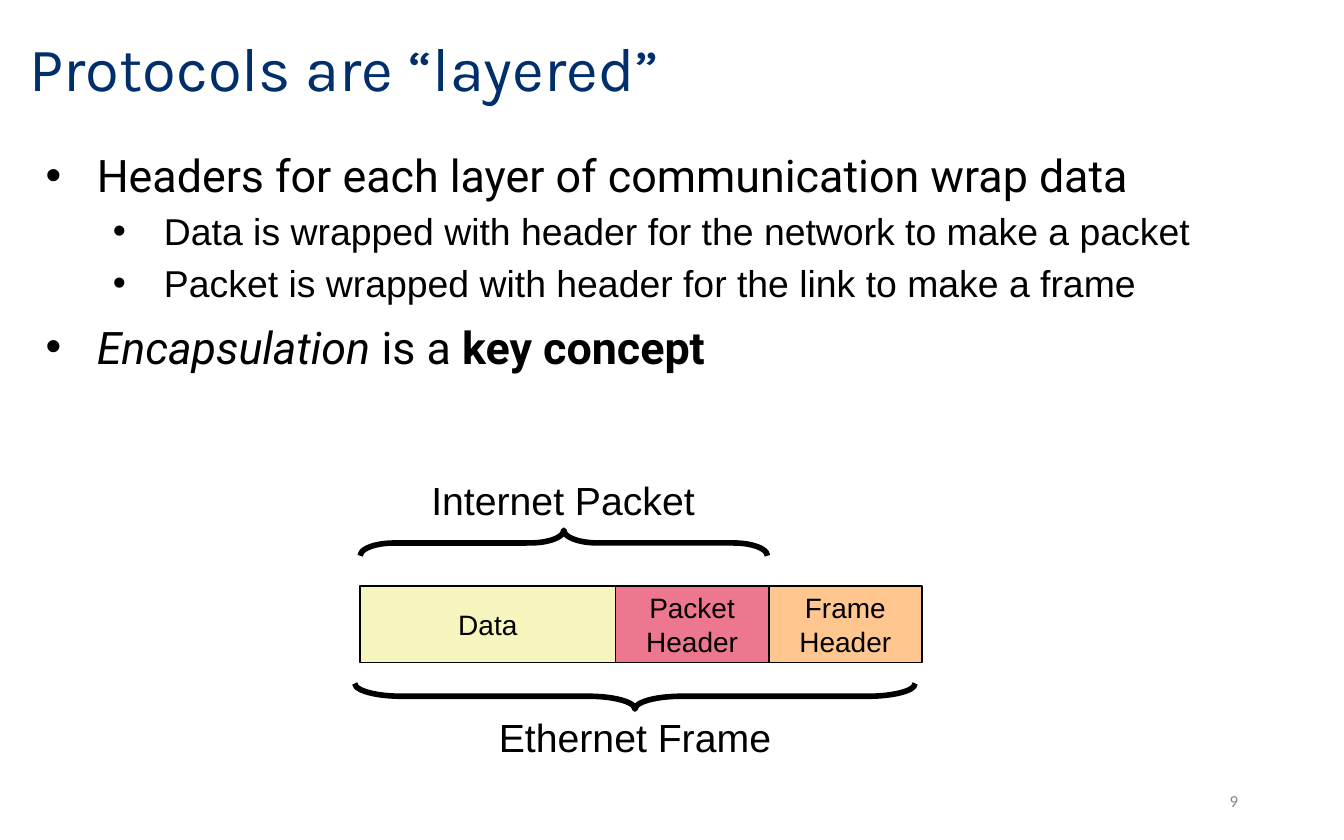
from lxml import etree
from pptx import Presentation
from pptx import util as u
from pptx.dml.color import RGBColor
from pptx.enum import shapes, text
from pptx.oxml.ns import qn

COLORS = {
    "ink": "000000",
    "title": "002F6C",
    "number": "888888",
    "data": "F6F5BD",
    "packet": "ED778E",
    "frame": "FFC78F",
}


def color(name):
    return RGBColor.from_string(COLORS[name])


def write(paragraph, content, size=20, font="Arial", ink="ink", align=None, **emphasis):
    if align is not None:
        paragraph.alignment = align
    for index, line in enumerate(content.split("\n")):
        if index:
            paragraph.add_line_break()
        run = paragraph.add_run()
        run.text = line
        run.font.size = u.Pt(size)
        run.font.name = font
        run.font.color.rgb = color(ink)
        for name, value in emphasis.items():
            setattr(run.font, name, value)


class SlideBuilder:
    brace_depth = 0.19
    line_width = 1
    brace_width = 3

    def __init__(self, slide):
        self.slide = slide

    def place(self, shape, left, top, width, height):
        shape.left, shape.top = u.Inches(left), u.Inches(top)
        shape.width, shape.height = u.Inches(width), u.Inches(height)

    def title(self, content, box):
        shape = self.slide.shapes.title
        self.place(shape, *box)
        frame = shape.text_frame
        frame.auto_size = text.MSO_AUTO_SIZE.NONE
        frame.vertical_anchor = text.MSO_ANCHOR.MIDDLE
        paragraph = frame.paragraphs[0]
        paragraph.line_spacing = 0.9
        write(paragraph, content, 33, "Karla", "title", text.PP_ALIGN.LEFT)

    def bullets(self, items, box):
        shape = self.slide.placeholders[1]
        self.place(shape, *box)
        frame = shape.text_frame
        frame.auto_size = text.MSO_AUTO_SIZE.NONE
        for index, (level, runs) in enumerate(items):
            paragraph = frame.add_paragraph() if index else frame.paragraphs[0]
            paragraph.level = level
            paragraph.space_before = u.Pt((7.5, 3.75)[level] if index else 0)
            properties = paragraph._p.get_or_add_pPr()
            properties.set("marL", str(u.Inches(0.5 + 0.5 * level)))
            properties.set("indent", str(u.Inches(-0.38)))
            bullet_color = etree.SubElement(properties, qn("a:buClr"))
            etree.SubElement(bullet_color, qn("a:srgbClr"), val=COLORS["ink"])
            etree.SubElement(properties, qn("a:buFont"), typeface="Arial")
            etree.SubElement(properties, qn("a:buChar"), char="•")
            for content, emphasis in runs:
                write(paragraph, content, (24, 20)[level], ("Roboto", "Arial")[level], **emphasis)

    def label(self, content, box, wrap=False, align=text.PP_ALIGN.CENTER, **style):
        frame = self.slide.shapes.add_textbox(*map(u.Inches, box)).text_frame
        frame.word_wrap = wrap
        frame.vertical_anchor = text.MSO_ANCHOR.MIDDLE
        write(frame.paragraphs[0], content, align=align, **style)

    def outline(self, kind, box, width):
        shape = self.slide.shapes.add_shape(kind, *map(u.Inches, box))
        shape.shadow.inherit = False
        shape.line.color.rgb = color("ink")
        shape.line.width = u.Pt(width)
        return shape

    def block(self, content, fill, box):
        shape = self.outline(shapes.MSO_SHAPE.RECTANGLE, box, self.line_width)
        shape.fill.solid()
        shape.fill.fore_color.rgb = color(fill)
        frame = shape.text_frame
        frame.word_wrap = False
        frame.vertical_anchor = text.MSO_ANCHOR.MIDDLE
        write(frame.paragraphs[0], content, 15, align=text.PP_ALIGN.CENTER)

    def brace(self, left, middle, span, rotation, curve):
        box = (left + (span - self.brace_depth) / 2, middle - span / 2, self.brace_depth, span)
        shape = self.outline(shapes.MSO_SHAPE.LEFT_BRACE, box, self.brace_width)
        shape.fill.background()
        shape.rotation = rotation
        shape.adjustments[0] = curve


def main():
    presentation = Presentation()
    presentation.slide_width = u.Inches(10)
    presentation.slide_height = u.Inches(6.25)
    builder = SlideBuilder(presentation.slides.add_slide(presentation.slide_layouts[1]))

    builder.title("Protocols are “layered”", (0.12, 0.1, 8.52, 0.86))
    builder.bullets([
        (0, [("Headers for each layer of communication wrap data", {})]),
        (1, [("Data is wrapped with header for the network to make a packet", {})]),
        (1, [("Packet is wrapped with header for the link to make a frame", {})]),
        (0, [("Encapsulation", {"italic": True}), (" is a ", {}), ("key concept", {"bold": True})]),
    ], (0.12, 1.05, 9.77, 4.58))
    builder.label("9", (7.06, 5.79, 2.25, 0.33), wrap=True, align=text.PP_ALIGN.RIGHT,
                  size=9, font="Calibri", ink="number")

    left = 2.68
    for content, fill, width in (
        ("Data", "data", 1.9),
        ("Packet\nHeader", "packet", 1.14),
        ("Frame\nHeader", "frame", 1.14),
    ):
        builder.block(content, fill, (left, 4.36, width, 0.57))
        left += width

    builder.brace(2.68, 4.04, 3.03, 90, 1.33)
    builder.label("Internet Packet", (3.1, 3.49, 2.18, 0.45), size=21)
    builder.brace(2.64, 5.18, 4.17, 270, 1.83)
    builder.label("Ethernet Frame", (3.6, 5.26, 2.25, 0.45), size=21)

    presentation.save("out.pptx")


if __name__ == "__main__":
    main()
